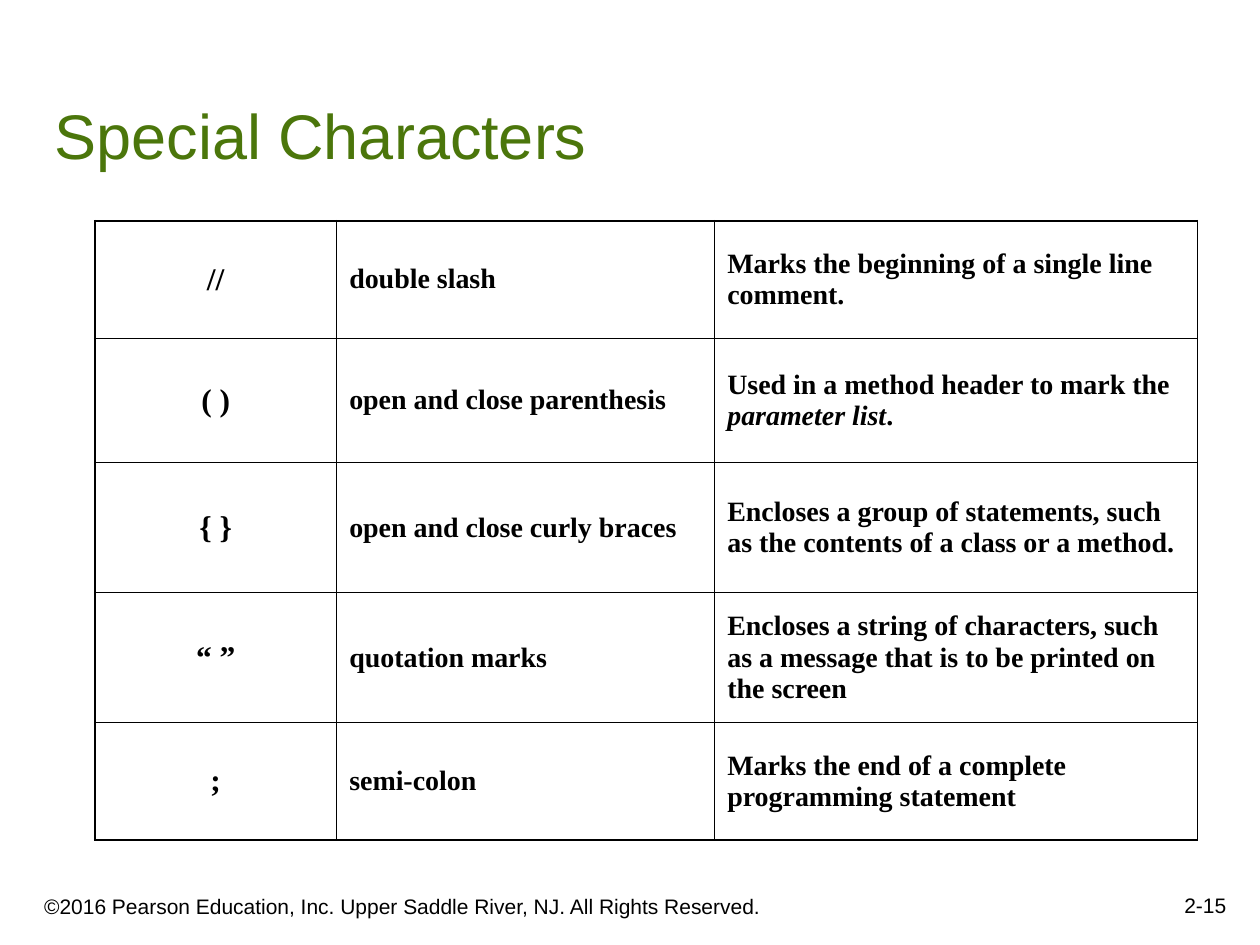
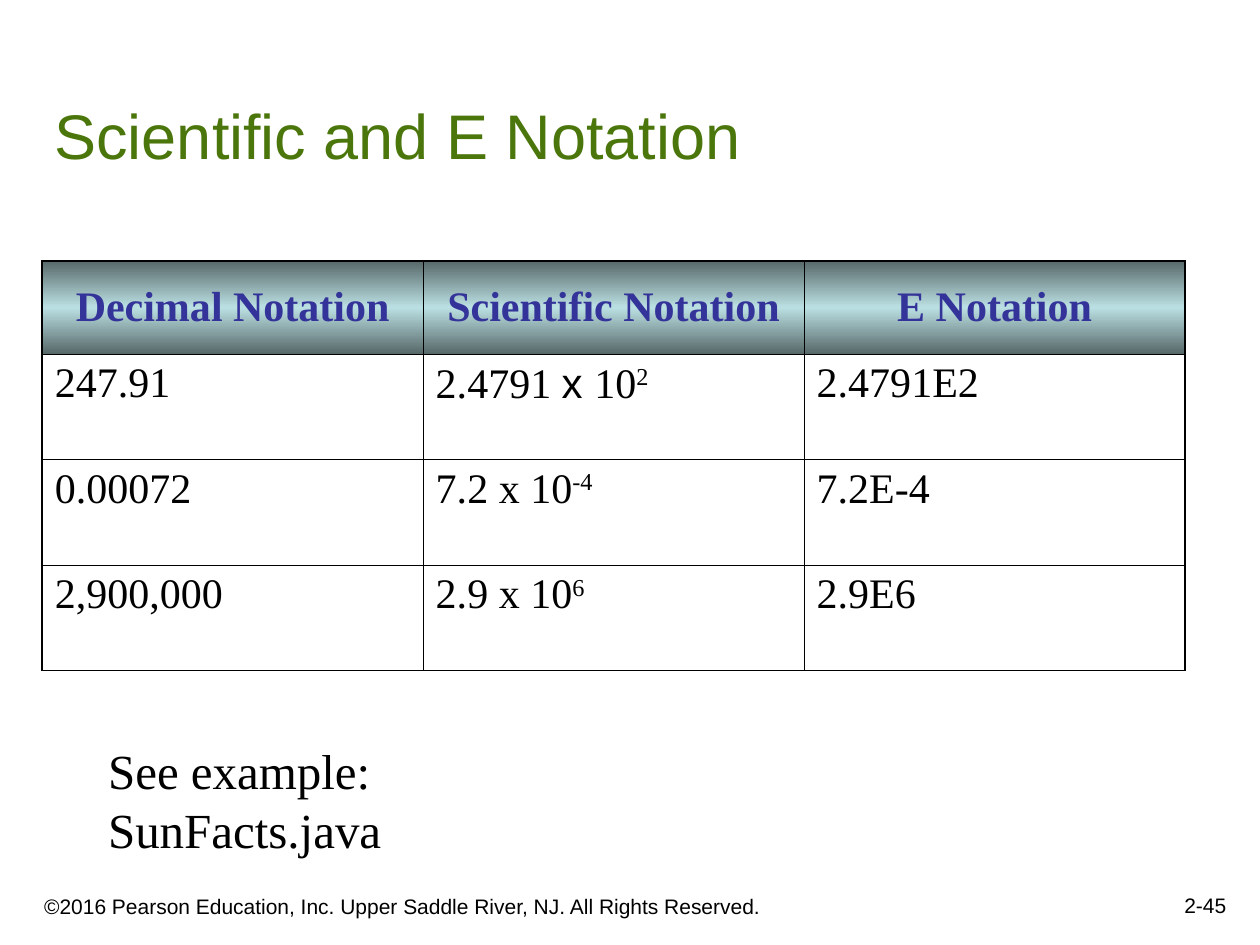
from lxml import etree
from pptx import Presentation, util as u
from pptx.dml.color import RGBColor
from pptx.enum import text
from pptx.oxml import ns

SANS, SERIF = "Arial", "Times New Roman"
BLACK, GREEN, INDIGO = "000000", "4B760B", "333399"
HEADER_STOPS = ((0, "576869"), (50, "BBE0E3"), (100, "576869"))
OUTER_LINE, INNER_LINE = 1.08, 0.45
COPYRIGHT = "©2016 Pearson Education, Inc. Upper Saddle River, NJ. All Rights Reserved."
LEFT, CENTER, RIGHT = text.PP_ALIGN.LEFT, text.PP_ALIGN.CENTER, text.PP_ALIGN.RIGHT
TOP, MIDDLE, BOTTOM = text.MSO_ANCHOR.TOP, text.MSO_ANCHOR.MIDDLE, text.MSO_ANCHOR.BOTTOM

SPECIAL_CHARACTERS = [
    ("//", "double slash", "Marks the beginning of a single line comment."),
    ("( )", "open and close parenthesis",
     [("Used in a method header to mark the ", ""), ("parameter list", "italic"), (".", "")]),
    ("{ }", "open and close curly braces",
     "Encloses a group of statements, such as the contents of a class or a method."),
    ("“ ”", "quotation marks",
     "Encloses a string of characters, such as a message that is to be printed on the screen"),
    (";", "semi-colon", "Marks the end of a complete programming statement"),
]
NOTATIONS = [
    ("Decimal Notation", "Scientific Notation", "E Notation"),
    ("247.91", [("2.4791 ", ""), ("x ", "sans"), ("10", ""), ("2", "super")], "2.4791E2"),
    ("0.00072", [("7.2 x 10", ""), ("-4", "super")], "7.2E-4"),
    ("2,900,000", [("2.9 x 10", ""), ("6", "super")], "2.9E6"),
]


def colour(value):
    return RGBColor.from_string(value)


def write(frame, content, size, face, ink=BLACK, bold=False, align=LEFT):
    """Write a string, or a list of (text, style) spans, as one paragraph."""
    para = frame.paragraphs[0]
    para.alignment = align
    font = para.font
    font.size, font.name, font.bold = u.Pt(size), face, bold
    font.color.rgb = colour(ink)
    for words, style in [(content, "")] if isinstance(content, str) else content:
        span = para.add_run()
        span.text = words
        if style == "italic":
            span.font.italic = True
        elif style == "sans":
            span.font.name = SANS
        elif style == "super":
            span.font._element.set("baseline", "30000")


def add_text(page, box, content, size, face, ink=BLACK, align=LEFT, anchor=TOP, wrap=True):
    frame = page.shapes.add_textbox(*map(u.Cm, box)).text_frame
    frame.word_wrap = wrap
    frame.vertical_anchor = anchor
    write(frame, content, size, face, ink, align=align)


def set_borders(cell, row, column, last_row, last_column):
    """Rule the cell, heavier along the outside of the table."""
    properties = cell._tc.get_or_add_tcPr()
    outside = {"lnL": column == 0, "lnR": column == last_column,
               "lnT": row == 0, "lnB": row == last_row}
    for tag, is_outer in outside.items():
        width = u.Pt(OUTER_LINE if is_outer else INNER_LINE)
        line = etree.SubElement(properties, ns.qn("a:" + tag), w=str(int(width)))
        fill = etree.SubElement(line, ns.qn("a:solidFill"))
        etree.SubElement(fill, ns.qn("a:srgbClr"), val=BLACK)


def fill_gradient(cell, stops):
    gradient = etree.SubElement(cell._tc.get_or_add_tcPr(), ns.qn("a:gradFill"))
    stop_list = etree.SubElement(gradient, ns.qn("a:gsLst"))
    for percent, value in stops:
        stop = etree.SubElement(stop_list, ns.qn("a:gs"), pos=str(percent * 1000))
        etree.SubElement(stop, ns.qn("a:srgbClr"), val=value)
    etree.SubElement(gradient, ns.qn("a:lin"), ang="5400000", scaled="0")


def add_grid(page, box, rows, column_shares, row_shares, style_cell):
    """Divide the box by the shares; style_cell(cell, content, row, column) fills each cell."""
    left, top, width, height = box
    table = page.shapes.add_table(len(rows), len(column_shares), *map(u.Cm, box)).table
    table.first_row = table.horz_banding = False
    for column, share in zip(table.columns, column_shares):
        column.width = u.Cm(width * share / sum(column_shares))
    for row, share in zip(table.rows, row_shares):
        row.height = u.Cm(height * share / sum(row_shares))
    for r, contents in enumerate(rows):
        for c, content in enumerate(contents):
            cell = table.cell(r, c)
            set_borders(cell, r, c, len(rows) - 1, len(contents) - 1)
            style_cell(cell, content, r, c)


def style_character_cell(cell, content, row, column):
    cell.fill.background()
    cell.vertical_anchor = MIDDLE
    is_symbol = column == 0
    write(cell.text_frame, content, 18 if is_symbol else 16, SERIF, bold=True,
          align=CENTER if is_symbol else LEFT)


def style_notation_cell(cell, content, row, column):
    if row == 0:
        fill_gradient(cell, HEADER_STOPS)
        cell.vertical_anchor = MIDDLE
        write(cell.text_frame, content, 24, SERIF, INDIGO, True, CENTER)
    else:
        cell.fill.background()
        write(cell.text_frame, content, 24, SERIF)


def add_page(deck, title, number):
    """Add a blank slide with the shared footer, page number and title."""
    page = deck.slides.add_slide(deck.slide_layouts[6])
    add_text(page, (0.64, 17.58, 15.44, 1.07), COPYRIGHT, 12, SANS, anchor=BOTTOM)
    add_text(page, (19.69, 17.35, 5.28, 1.27), number, 12, SANS, align=RIGHT, anchor=BOTTOM)
    add_text(page, (0.85, 0.85, 23.92, 2.75), title, 36, SANS, GREEN, anchor=BOTTOM)
    return page


def main():
    deck = Presentation()
    deck.slide_width, deck.slide_height = u.Cm(25.4), u.Cm(19.05)

    page = add_page(deck, "Special Characters", "2-15")
    add_grid(page, (1.91, 4.45, 22.23, 12.48), SPECIAL_CHARACTERS,
             (1.92, 3, 3.83), (0.93, 0.99, 1.03, 1.03, 0.93), style_character_cell)

    page = add_page(deck, "Scientific and E Notation", "2-45")
    add_grid(page, (0.85, 5.26, 23.04, 8.26), NOTATIONS,
             (1, 1, 1), (0.74, 0.84, 0.84, 0.84), style_notation_cell)
    add_text(page, (1.93, 14.81, 11.53, 1.45), "See example: SunFacts.java", 28, SERIF, wrap=False)

    deck.save("out.pptx")


if __name__ == "__main__":
    main()
